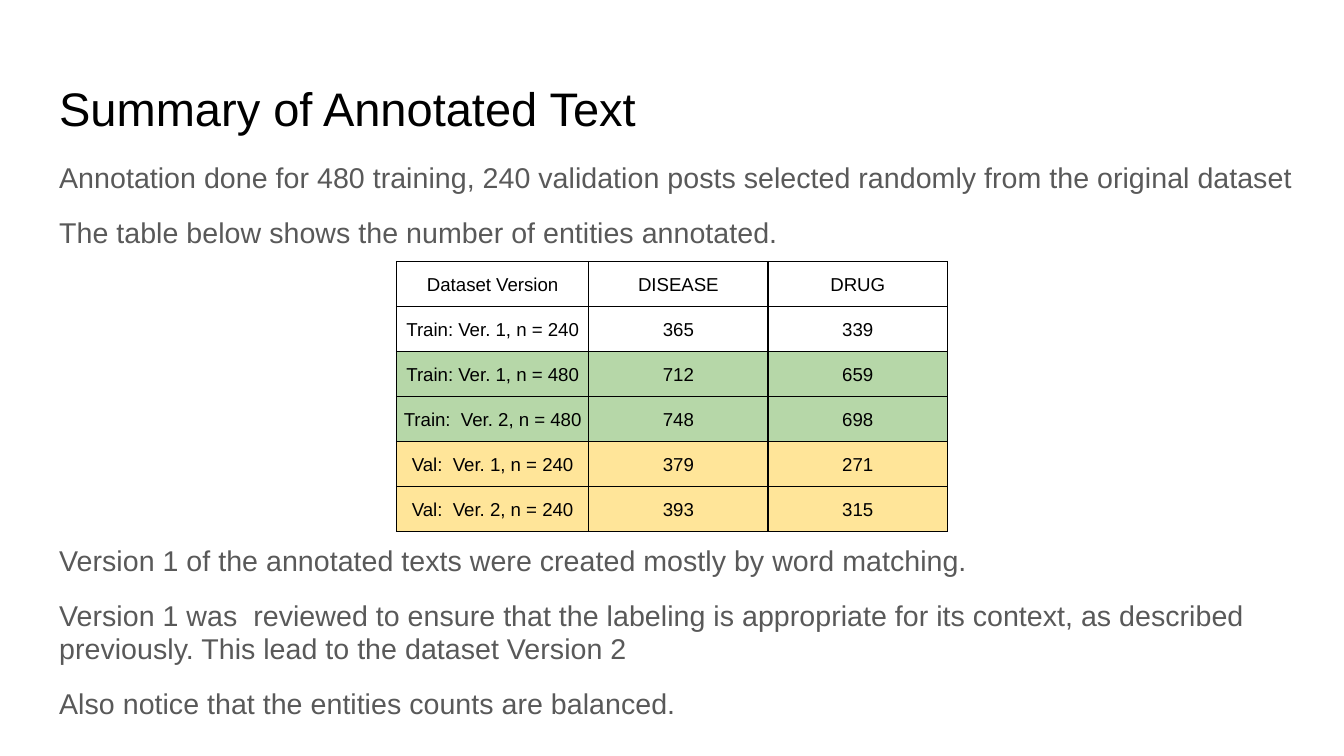
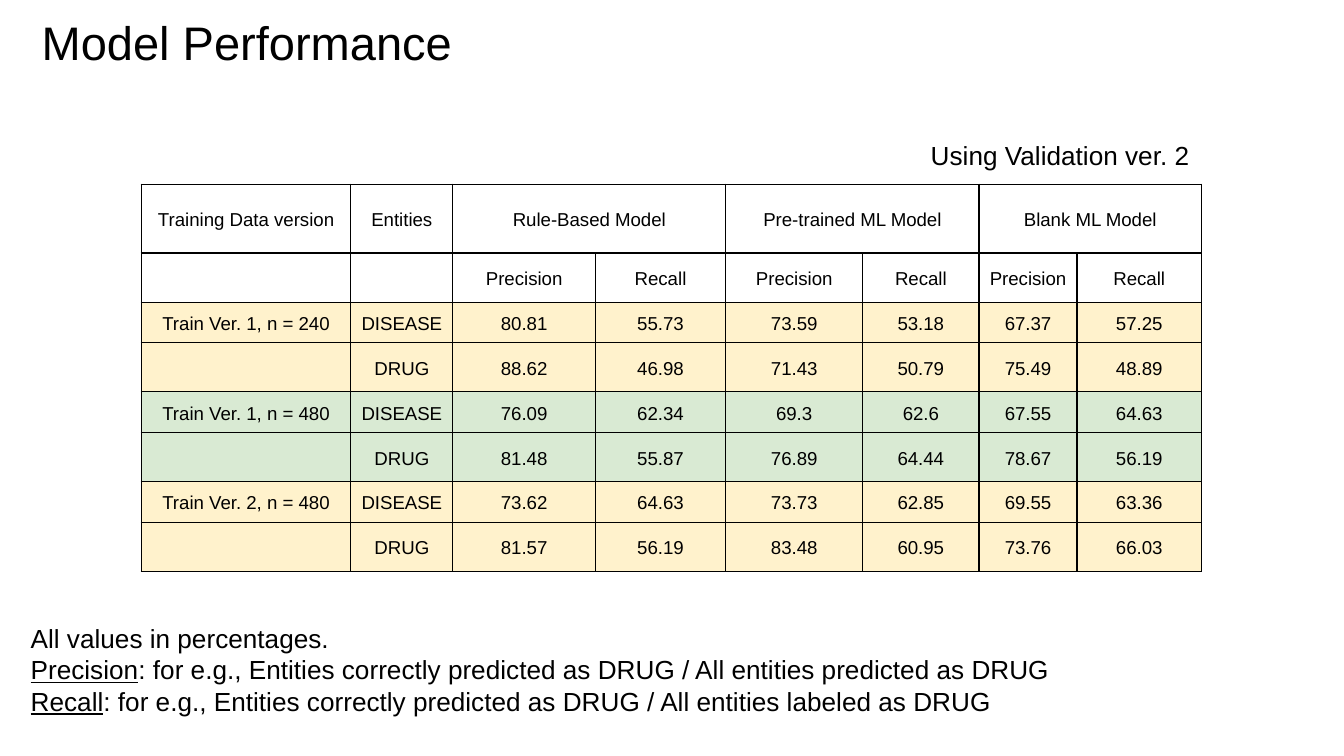
from dataclasses import dataclass
from itertools import product

from lxml.etree import SubElement
from pptx import Presentation
from pptx.dml.color import RGBColor
from pptx.enum.text import MSO_ANCHOR as Anchor, MSO_AUTO_SIZE as AutoSize, PP_ALIGN as Align
from pptx.oxml.ns import qn
from pptx.util import Inches, Pt

GRID_COLUMNS, GRID_ROWS = 100, 56.25
GRID_UNIT = Inches(0.1)


@dataclass(frozen=True)
class Theme:
    """Colours, font and type sizes shared by the slides."""
    font: str = "Arial"
    ink: str = "000000"
    muted: str = "595959"
    green: str = "B6D7A8"
    yellow: str = "FFE599"
    pale_green: str = "D9EAD3"
    pale_yellow: str = "FFF2CC"
    title_size: float = 25.2
    body_size: float = 15.3
    note_size: float = 14
    table_size: float = 10
    border_width: float = 0.75


THEME = Theme()


@dataclass(frozen=True)
class Box:
    """A region measured in grid columns and rows."""
    left: float
    top: float
    width: float
    height: float

    def region(self, left, top, width, height):
        """Return a region placed relative to this one."""
        return Box(self.left + left, self.top + top, width, height)

    def lengths(self):
        """Return the position and size as slide lengths."""
        return [units(value) for value in (self.left, self.top, self.width, self.height)]


FRAME_FORMAT = {
    "word_wrap": True,
    "auto_size": AutoSize.NONE,
    "vertical_anchor": Anchor.TOP,
    **{f"margin_{side}": Inches(0.1) for side in ("left", "top", "right", "bottom")},
}
CELL_FORMAT = {
    "vertical_anchor": Anchor.MIDDLE,
    "margin_left": Inches(0.03),
    "margin_right": Inches(0.03),
    "margin_top": Inches(0.02),
    "margin_bottom": Inches(0.02),
}
CELL_PARAGRAPH = {"alignment": Align.CENTER, "line_spacing": 1.15}


def units(value):
    """Convert grid units to a slide length."""
    return round(value * GRID_UNIT)


def apply_format(target, values):
    """Set each attribute named in the format values."""
    for name, value in values.items():
        setattr(target, name, value)


def write_paragraph(paragraph, runs, size, color=THEME.ink, **values):
    """Write (text, underlined) runs into a formatted paragraph."""
    apply_format(paragraph, values)
    for text, underlined in runs:
        run = paragraph.add_run()
        run.text = text
        apply_format(run.font, {"name": THEME.font, "size": Pt(size), "underline": underlined})
        run.font.color.rgb = RGBColor.from_string(color)


def write_frame(shape, paragraphs, size, color=THEME.ink):
    """Fill a shape with (runs, paragraph format) pairs."""
    frame = shape.text_frame
    apply_format(frame, FRAME_FORMAT)
    for index, (runs, values) in enumerate(paragraphs):
        paragraph = frame.add_paragraph() if index else frame.paragraphs[0]
        write_paragraph(paragraph, runs, size, color, **values)


def place(shape, box):
    """Move a shape to a region."""
    apply_format(shape, dict(zip(("left", "top", "width", "height"), box.lengths())))


def add_title(slide, box, text):
    """Place the slide title."""
    title = slide.shapes.title
    place(title, box)
    write_frame(title, [([(text, False)], {"alignment": Align.LEFT})], THEME.title_size)


def add_body(slide, box, lines):
    """Place unbulleted body text from (text, space before) pairs."""
    body = slide.placeholders[1]
    place(body, box)
    write_frame(body, [
        ([(text, False)], {"line_spacing": 0.95, "space_before": Pt(space)})
        for text, space in lines
    ], THEME.body_size, THEME.muted)
    for paragraph in body.text_frame.paragraphs:
        properties = paragraph._p.get_or_add_pPr()
        for name in ("marL", "indent"):
            properties.set(name, "0")
        SubElement(properties, qn("a:buNone"))


def add_note(slide, box, paragraphs):
    """Place a text box of notes."""
    write_frame(slide.shapes.add_textbox(*box.lengths()), paragraphs, THEME.note_size)


def add_borders(cell):
    """Draw a thin line on all four sides of a cell."""
    properties = cell._tc.get_or_add_tcPr()
    for side in "LRTB":
        line = SubElement(properties, qn(f"a:ln{side}"), w=str(Pt(THEME.border_width)))
        fill = SubElement(line, qn("a:solidFill"))
        SubElement(fill, qn("a:srgbClr"), val=THEME.ink)


def format_cell(cell, text, fill):
    """Write and style one table cell."""
    apply_format(cell, CELL_FORMAT)
    add_borders(cell)
    if fill:
        cell.fill.solid()
        cell.fill.fore_color.rgb = RGBColor.from_string(fill)
    else:
        cell.fill.background()
    paragraph = cell.text_frame.paragraphs[0]
    write_paragraph(paragraph, [(text, False)] if text else [], THEME.table_size, **CELL_PARAGRAPH)
    if not text:
        SubElement(paragraph._p, qn("a:endParaRPr"), sz=str(THEME.table_size * 100))


def add_data_table(slide, box, widths, heights, records):
    """Build a bordered table from (fill, texts) records."""
    table = slide.shapes.add_table(len(heights), len(widths), *box.lengths()).table
    apply_format(table, {"first_row": False, "horz_banding": False})
    for column, width in zip(table.columns, widths):
        column.width = units(width)
    for row, height in zip(table.rows, heights):
        row.height = units(height)
    for row, (fill, texts) in enumerate(records):
        for column, text in enumerate(texts):
            format_cell(table.cell(row, column), text, fill)
    return table


def add_summary_slide(presentation, box):
    """Add the slide that counts the annotated entities."""
    slide = presentation.slides.add_slide(presentation.slide_layouts[1])
    add_title(slide, box.region(3.4, 4.9, 93.2, 6.3), "Summary of Annotated Text")
    add_body(slide, box.region(3.4, 11.1, 95.1, 44.5), [
        ("Annotation done for 480 training, 240 validation posts selected randomly "
         "from the original dataset", 0),
        ("The table below shows the number of entities annotated.", 12),
        ("Version 1 of the annotated texts were created mostly by word matching.", 158.4),
        ("Version 1 was  reviewed to ensure that the labeling is appropriate for its context, "
         "as described previously. This lead to the dataset Version 2", 12),
        ("Also notice that the entities counts are balanced.", 12),
    ])
    records = [
        (None, ("Dataset Version", "DISEASE", "DRUG")),
        (None, ("Train: Ver. 1, n = 240", "365", "339")),
        (THEME.green, ("Train: Ver. 1, n = 480", "712", "659")),
        (THEME.green, ("Train:  Ver. 2, n = 480", "748", "698")),
        (THEME.yellow, ("Val:  Ver. 1, n = 240", "379", "271")),
        (THEME.yellow, ("Val:  Ver. 2, n = 240", "393", "315")),
    ]
    widths, heights = [14.3, 13.35, 13.35], [3.35] * len(records)
    add_data_table(slide, box.region(29.5, 19.45, sum(widths), sum(heights)),
                   widths, heights, records)


def performance_records():
    """Return the header and score records of the performance table."""
    models = ("Rule-Based Model", "Pre-trained ML Model", "Blank ML Model")
    versions = ("Train Ver. 1, n = 240", "Train Ver. 1, n = 480", "Train Ver. 2, n = 480")
    scores = [
        ("80.81", "55.73", "73.59", "53.18", "67.37", "57.25"),
        ("88.62", "46.98", "71.43", "50.79", "75.49", "48.89"),
        ("76.09", "62.34", "69.3", "62.6", "67.55", "64.63"),
        ("81.48", "55.87", "76.89", "64.44", "78.67", "56.19"),
        ("73.62", "64.63", "73.73", "62.85", "69.55", "63.36"),
        ("81.57", "56.19", "83.48", "60.95", "73.76", "66.03"),
    ]
    records = [
        (None, ["Training Data version", "Entities"]
         + [text for model in models for text in (model, "")]),
        (None, ["", ""] + ["Precision", "Recall"] * len(models)),
    ]
    for (version, entity), values in zip(product(versions, ("DISEASE", "DRUG")), scores):
        fill = THEME.pale_green if version == versions[1] else THEME.pale_yellow
        records.append((fill, [version if entity == "DISEASE" else "", entity, *values]))
    return records


def add_performance_slide(presentation, box):
    """Add the slide that compares the models."""
    slide = presentation.slides.add_slide(presentation.slide_layouts[5])
    add_title(slide, box.region(2.1, 0, 93.2, 6.3), "Model Performance")
    widths = [15.6, 7.6, 10.6, 9.7, 10.2, 8.65, 7.3, 9.25]
    heights = [5.13, 3.65] + [3.03, 3.65] * 3
    table = add_data_table(slide, box.region(10.5, 13.7, sum(widths), sum(heights)),
                           widths, heights, performance_records())
    for column in range(2, len(widths), 2):
        table.cell(0, column).merge(table.cell(0, column + 1))
    add_note(slide, box.region(64.1, 9.4, 25.4, 4.4),
             [([("Using Validation ver. 2", False)], {"alignment": Align.RIGHT})])
    definitions = [
        ("Precision", ": for e.g., Entities correctly predicted as DRUG / All entities predicted as DRUG"),
        ("Recall", ": for e.g., Entities correctly predicted as DRUG / All entities labeled as DRUG"),
    ]
    add_note(slide, box.region(1.3, 45.3, 97.7, 9.1),
             [([("All values in percentages.", False)], {})]
             + [([(term, True), (meaning, False)], {}) for term, meaning in definitions])


def main():
    """Build and save the presentation."""
    presentation = Presentation()
    page = Box(0, 0, GRID_COLUMNS, GRID_ROWS)
    apply_format(presentation, {"slide_width": units(page.width), "slide_height": units(page.height)})
    add_summary_slide(presentation, page)
    add_performance_slide(presentation, page)
    presentation.save("out.pptx")


if __name__ == "__main__":
    main()
